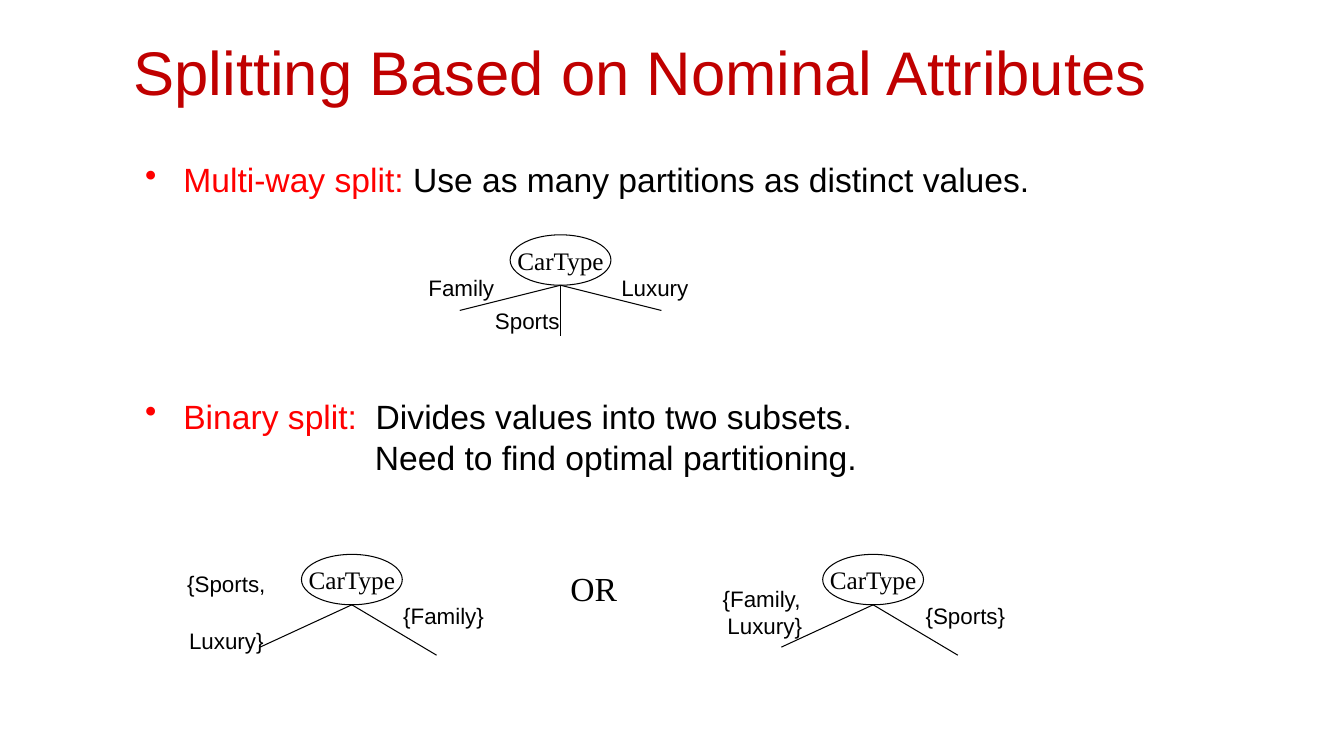
"""Builds the slide on splitting decision tree nodes by nominal attributes."""
import pptx
import pptx.dml.color
import pptx.enum.shapes
import pptx.enum.text
import pptx.oxml
import pptx.oxml.ns
import pptx.util
from pptx.util import Inches

BLACK = pptx.dml.color.RGBColor(0x00, 0x00, 0x00)
WHITE = pptx.dml.color.RGBColor(0xFF, 0xFF, 0xFF)
RED = pptx.dml.color.RGBColor(0xFF, 0x00, 0x00)
DARK_RED = pptx.dml.color.RGBColor(0xC0, 0x00, 0x00)
SANS = "Arial"
SERIF = "Times New Roman"
CENTER = pptx.enum.text.PP_ALIGN.CENTER
MIDDLE = pptx.enum.text.MSO_ANCHOR.MIDDLE


def write(shape, text, size=16, font=SANS, color=BLACK, wrap=False):
    """Put centred text into a shape."""
    frame = shape.text_frame
    frame.word_wrap = wrap
    frame.vertical_anchor = MIDDLE
    para = frame.paragraphs[0]
    para.text = text
    para.alignment = CENTER
    for span in para.runs:
        span.font.size = pptx.util.Pt(size)
        span.font.name = font
        span.font.color.rgb = color


deck = pptx.Presentation()
deck.slide_width = Inches(13.33)
deck.slide_height = Inches(7.5)
page = deck.slides.add_slide(deck.slide_layouts[6])

title = page.shapes.add_textbox(Inches(1.08), Inches(0.41), Inches(10.55), Inches(0.58))
write(title, "Splitting Based on Nominal Attributes", size=44, color=DARK_RED, wrap=True)

body = page.shapes.add_textbox(Inches(1.34), Inches(1.53), Inches(9.78), Inches(5.5))
body.text_frame.word_wrap = True
body_lines = [
    (0.38, 0, "Multi-way split:", "Use as many partitions as distinct values.", 0),
    (0.38, 140, "Binary split:", "Divides values into two subsets.", 6.67),
    (2.28, 1, "", "Need to find optimal partitioning.", 0),
]
for number, (margin, space_before, term, meaning, extra_gap) in enumerate(body_lines):
    para = body.text_frame.paragraphs[0] if number == 0 else body.text_frame.add_paragraph()
    para.space_before = pptx.util.Pt(space_before)
    layout = para._p.get_or_add_pPr()
    layout.set("marL", str(Inches(margin)))
    parts = [(meaning, BLACK, 0)]
    if term:
        layout.set("indent", str(-Inches(margin)))
        bullet = pptx.oxml.parse_xml(f'<a:buChar {pptx.oxml.ns.nsdecls("a")} char="•"/>')
        layout.append(bullet)
        parts = [(term, RED, 0), (" ", BLACK, extra_gap)] + parts
    for text, color, spacing in parts:
        span = para.add_run()
        span.text = text
        span.font.size = pptx.util.Pt(24)
        span.font.name = SANS
        span.font.color.rgb = color
        if spacing:
            span.font._element.set("spc", str(round(spacing * 100)))

binary_branches = [(-0.91, 0.42), (0.84, 0.5)]
trees = [
    (5.56, 2.33, [(-1, 0.25), (0, 0.5), (1, 0.25)], [
        ("Family", 4.15, 2.67, 0.85, 0.37),
        ("Sports", 4.81, 3.0, 0.84, 0.37),
        ("Luxury", 6.06, 2.67, 0.87, 0.37),
    ]),
    (8.66, 5.5, binary_branches, [
        ("{Family, \vLuxury}", 7.06, 5.75, 1.05, 0.64),
        ("{Sports}", 9.08, 5.92, 0.99, 0.37),
    ]),
    (3.49, 5.5, binary_branches, [
        ("{Sports, \vLuxury}", 1.73, 5.75, 1.03, 0.64),
        ("{Family}", 3.9, 5.92, 1.0, 0.37),
    ]),
]
for center, top, branches, labels in trees:
    tree = page.shapes.add_group_shape()
    node = tree.shapes.add_shape(
        pptx.enum.shapes.MSO_SHAPE.OVAL,
        Inches(center - 0.5), Inches(top), Inches(1), Inches(0.5))
    node.shadow.inherit = False
    node.fill.solid()
    node.fill.fore_color.rgb = WHITE
    node.line.color.rgb = BLACK
    node.line.width = pptx.util.Pt(0.75)
    write(node, "CarType", size=18, font=SERIF)
    fork = top + 0.5
    for across, down in branches:
        branch = tree.shapes.add_connector(
            pptx.enum.shapes.MSO_CONNECTOR.STRAIGHT,
            Inches(center), Inches(fork), Inches(center + across), Inches(fork + down))
        branch.line.color.rgb = BLACK
        branch.line.width = pptx.util.Pt(0.75)
        no_shadow = pptx.oxml.parse_xml(f'<a:effectLst {pptx.oxml.ns.nsdecls("a")}/>')
        branch._element.spPr.append(no_shadow)
    for text, left, label_top, width, height in labels:
        label = tree.shapes.add_textbox(
            Inches(left), Inches(label_top), Inches(width), Inches(height))
        write(label, text)

either = page.shapes.add_textbox(Inches(5.56), Inches(5.58), Inches(0.66), Inches(0.5))
write(either, "OR", size=24, font=SERIF)

deck.save("out.pptx")
